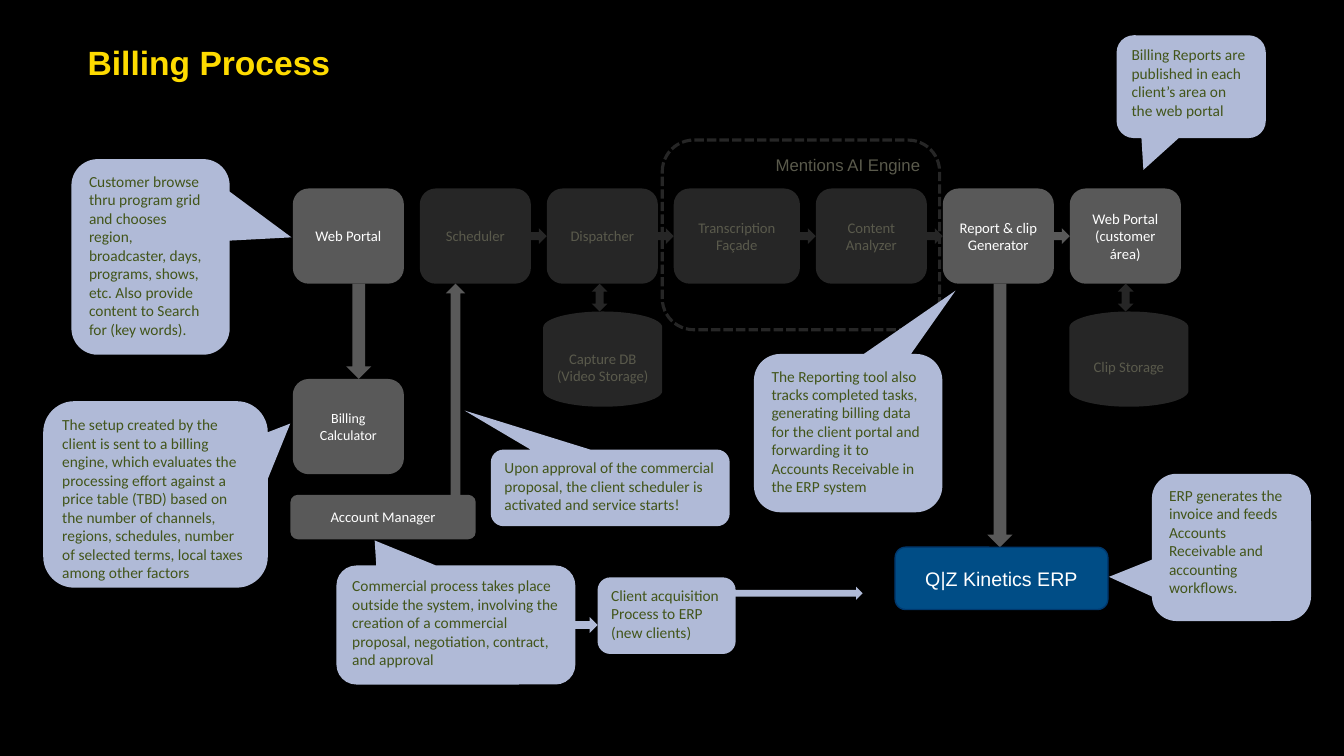
from dataclasses import dataclass, field
import math

import pptx
import pptx.dml.color
import pptx.enum.dml
import pptx.enum.shapes
import pptx.enum.text
import pptx.util

Cm = pptx.util.Cm
Pt = pptx.util.Pt
SHAPE = pptx.enum.shapes.MSO_SHAPE
ALIGN = pptx.enum.text.PP_ALIGN
ANCHOR = pptx.enum.text.MSO_ANCHOR


def text_style(name, size, colour, align=ALIGN.CENTER, anchor=ANCHOR.MIDDLE, bold=False):
    return {"font": {"name": name, "size": Pt(size), "bold": bold},
            "colour": colour, "align": align, "anchor": anchor}


@dataclass
class Theme:
    background: str = "000000"
    active: str = "595959"
    dimmed: str = "262626"
    note: str = "B0BAD7"
    erp: str = "004D86"
    erp_edge: str = "00396F"
    title: dict = field(default_factory=lambda: text_style(
        "Arial", 24, "FEDB00", ALIGN.LEFT, ANCHOR.TOP, True))
    engine_text: dict = field(default_factory=lambda: text_style(
        "Arial", 12, "5A5A4C", ALIGN.RIGHT, ANCHOR.TOP))
    active_text: dict = field(default_factory=lambda: text_style("Calibri", 10.5, "FFFFFF"))
    small_text: dict = field(default_factory=lambda: text_style("Calibri", 10, "FFFFFF"))
    dimmed_text: dict = field(default_factory=lambda: text_style("Calibri", 10.5, "5A5A4C"))
    note_text: dict = field(default_factory=lambda: text_style(
        "Calibri", 11, "42551A", ALIGN.LEFT, ANCHOR.TOP))
    erp_text: dict = field(default_factory=lambda: text_style("Arial", 14, "FFFFFF"))


THEME = Theme()


@dataclass
class Box:
    """A rectangle in centimetres."""
    left: float
    top: float
    width: float
    height: float

    def inner(self, left, top, width, height):
        return Box(self.left + left, self.top + top, width, height)

    def point(self, across, down):
        return self.left + across, self.top + down

    def lengths(self):
        return [Cm(value) for value in (self.left, self.top, self.width, self.height)]


def rgb(colour):
    return pptx.dml.color.RGBColor.from_string(colour)


def write(shape, text, style):
    frame = shape.text_frame
    frame.word_wrap = True
    frame.vertical_anchor = style["anchor"]
    para = frame.paragraphs[0]
    para.alignment = style["align"]
    span = para.add_run()
    span.text = text
    for name, value in style["font"].items():
        setattr(span.font, name, value)
    span.font.color.rgb = rgb(style["colour"])
    return para


def add_shape(page, kind, box, fill=None, text=None, style=None):
    shape = page.shapes.add_shape(kind, *box.lengths())
    shape.shadow.inherit = False
    shape.line.fill.background()
    if fill:
        shape.fill.solid()
        shape.fill.fore_color.rgb = rgb(fill)
    else:
        shape.fill.background()
    if text:
        write(shape, text, style)
    return shape


def set_line(shape, colour, width):
    shape.line.color.rgb = rgb(colour)
    shape.line.width = Pt(width)


def add_arrow(page, start, end, thickness, colour):
    """Block arrow from start to end, turned to follow that direction."""
    across, down = end[0] - start[0], end[1] - start[1]
    length = math.hypot(across, down)
    middle = (start[0] + end[0]) / 2, (start[1] + end[1]) / 2
    box = Box(middle[0] - length / 2, middle[1] - thickness / 2, length, thickness)
    arrow = add_shape(page, SHAPE.RIGHT_ARROW, box, colour)
    arrow.rotation = math.degrees(math.atan2(down, across)) % 360


def add_title(page, box):
    title = page.shapes.add_textbox(*box.lengths())
    para = write(title, "Billing Process", THEME.title)
    para.line_spacing = 1.5


def add_pipeline(page, box):
    engine = add_shape(page, SHAPE.ROUNDED_RECTANGLE, box.inner(9.31, 0, 6.99, 4.78),
                       None, "Mentions AI Engine", THEME.engine_text)
    set_line(engine, THEME.dimmed, 2.25)
    engine.line.dash_style = pptx.enum.dml.MSO_LINE.SQUARE_DOT

    steps = [("Web Portal", 2.8, True), ("Scheduler", 2.8, False),
             ("Dispatcher", 2.8, False), ("Transcription Façade", 3.18, False),
             ("Content Analyzer", 2.8, False), ("Report & clip Generator", 2.8, True),
             ("Web Portal (customer área)", 2.8, True)]
    gap, height, step_top = 0.4, 2.4, 1.22
    left, joints, previous_active = 0, [], False
    for index, (label, width, active) in enumerate(steps):
        fill, style = ((THEME.active, THEME.active_text) if active
                       else (THEME.dimmed, THEME.dimmed_text))
        add_shape(page, SHAPE.ROUNDED_RECTANGLE, box.inner(left, step_top, width, height),
                  fill, label, style)
        if index > 1:
            joints.append((left, THEME.active if active and previous_active else THEME.dimmed))
        left += width + gap
        previous_active = active
    middle = step_top + height / 2
    for left, colour in joints:
        add_arrow(page, box.point(left - 0.79, middle), box.point(left, middle), 0.4, colour)

    for label, left in (("Capture DB (Video Storage)", 6.31), ("Clip Storage", 19.57)):
        add_shape(page, SHAPE.FLOWCHART_MAGNETIC_DISK, box.inner(left, 4.32, 3, 2.4),
                  THEME.dimmed, label, THEME.dimmed_text)
        add_shape(page, SHAPE.UP_DOWN_ARROW, box.inner(left + 1.22, 3.62, 0.4, 0.7),
                  THEME.dimmed)


def add_billing_branch(page, box):
    add_arrow(page, box.point(1.72, 0), box.point(1.72, 2.4), 0.64, THEME.active)
    add_shape(page, SHAPE.ROUNDED_RECTANGLE, box.inner(0.06, 2.4, 2.8, 2.4),
              THEME.active, "Billing Calculator", THEME.small_text)
    add_shape(page, SHAPE.ROUNDED_RECTANGLE, box.inner(0, 5.32, box.width, 1.12),
              THEME.active, "Account Manager", THEME.active_text)
    add_arrow(page, box.point(4.16, 5.32), box.point(4.16, 0), 0.48, THEME.active)


def add_erp_branch(page, box):
    add_arrow(page, box.point(2.64, 0), box.point(2.64, 6.64), 0.64, THEME.active)
    erp = add_shape(page, SHAPE.ROUNDED_RECTANGLE, box.inner(0, 6.64, box.width, 1.57),
                    THEME.erp, "Q|Z Kinetics ERP", THEME.erp_text)
    set_line(erp, THEME.erp_edge, 1)


def add_client_acquisition(page, box):
    add_arrow(page, box.point(3.51, 0.4), box.point(box.width, 0.4), 0.33, THEME.note)
    add_arrow(page, box.point(0, 1.2), box.point(0.79, 1.2), 0.4, THEME.note)
    add_shape(page, SHAPE.ROUNDED_RECTANGLE, box.inner(0.79, 0, 3.48, box.height), THEME.note,
              "Client acquisition Process to ERP (new clients)", THEME.note_text)


def add_callout(page, box, tip, text):
    """Note whose tip is a share of its width and height away from its centre."""
    callout = add_shape(page, SHAPE.ROUNDED_RECTANGULAR_CALLOUT, box,
                        THEME.note, text, THEME.note_text)
    for index, value in enumerate(tip):
        callout.adjustments[index] = value


CALLOUTS = [
    (Box(1.8, 4.01, 3.99, 4.93), (0.89, -0.1),
     "Customer browse thru program grid and chooses region, broadcaster, days, programs, "
     "shows, etc. Also provide content to Search for (key words)."),
    (Box(1.09, 10.11, 5.66, 4.7), (0.6, -0.38),
     "The setup created by the client is sent to a billing engine, which evaluates the "
     "processing effort against a price table (TBD) based on the number of channels, "
     "regions, schedules, number of selected terms, local taxes among other factors"),
    (Box(8.48, 14.25, 6.02, 3), (-0.34, -0.71),
     "Commercial process takes place outside the system, involving the creation of a "
     "commercial proposal, negotiation, contract, and approval"),
    (Box(28.14, 0.89, 3.76, 2.59), (-0.32, 0.81),
     "Billing Reports are published in each client’s area on the web portal"),
    (Box(19, 8.92, 4.75, 3.99), (0.57, -0.9),
     "The Reporting tool also tracks completed tasks, generating billing data for the "
     "client portal and forwarding it to Accounts Receivable in the ERP system"),
    (Box(12.37, 11.33, 6.02, 1.93), (-0.61, -1.01),
     "Upon approval of the commercial proposal, the client scheduler is activated and "
     "service starts!"),
    (Box(29.03, 11.94, 4.01, 3.71), (-0.77, 0.2),
     "ERP generates the invoice and feeds Accounts Receivable and accounting workflows."),
]


def main():
    deck = pptx.Presentation()
    deck.slide_width, deck.slide_height = Cm(33.87), Cm(19.05)
    page = deck.slides.add_slide(deck.slide_layouts[6])
    page.background.fill.solid()
    page.background.fill.fore_color.rgb = rgb(THEME.background)
    add_title(page, Box(1.96, 0.43, 29, 1.32))
    add_pipeline(page, Box(7.38, 3.53, 22.57, 6.72))
    add_billing_branch(page, Box(7.32, 7.15, 4.67, 6.44))
    add_erp_branch(page, Box(22.56, 7.15, 5.36, 8.21))
    for box, tip, text in CALLOUTS:
        add_callout(page, box, tip, text)
    add_client_acquisition(page, Box(14.27, 14.55, 7.47, 1.93))
    deck.save("out.pptx")


if __name__ == "__main__":
    main()
